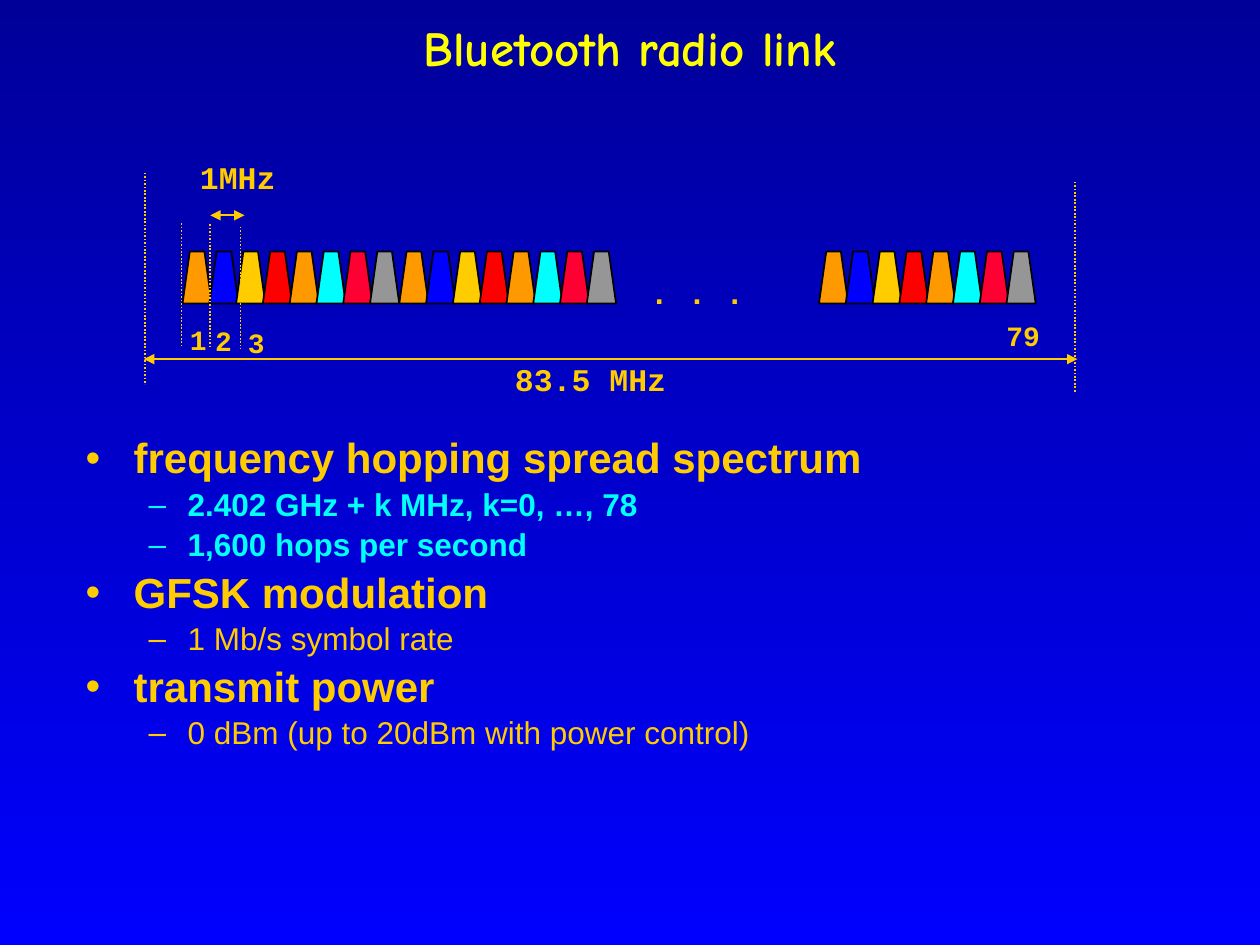
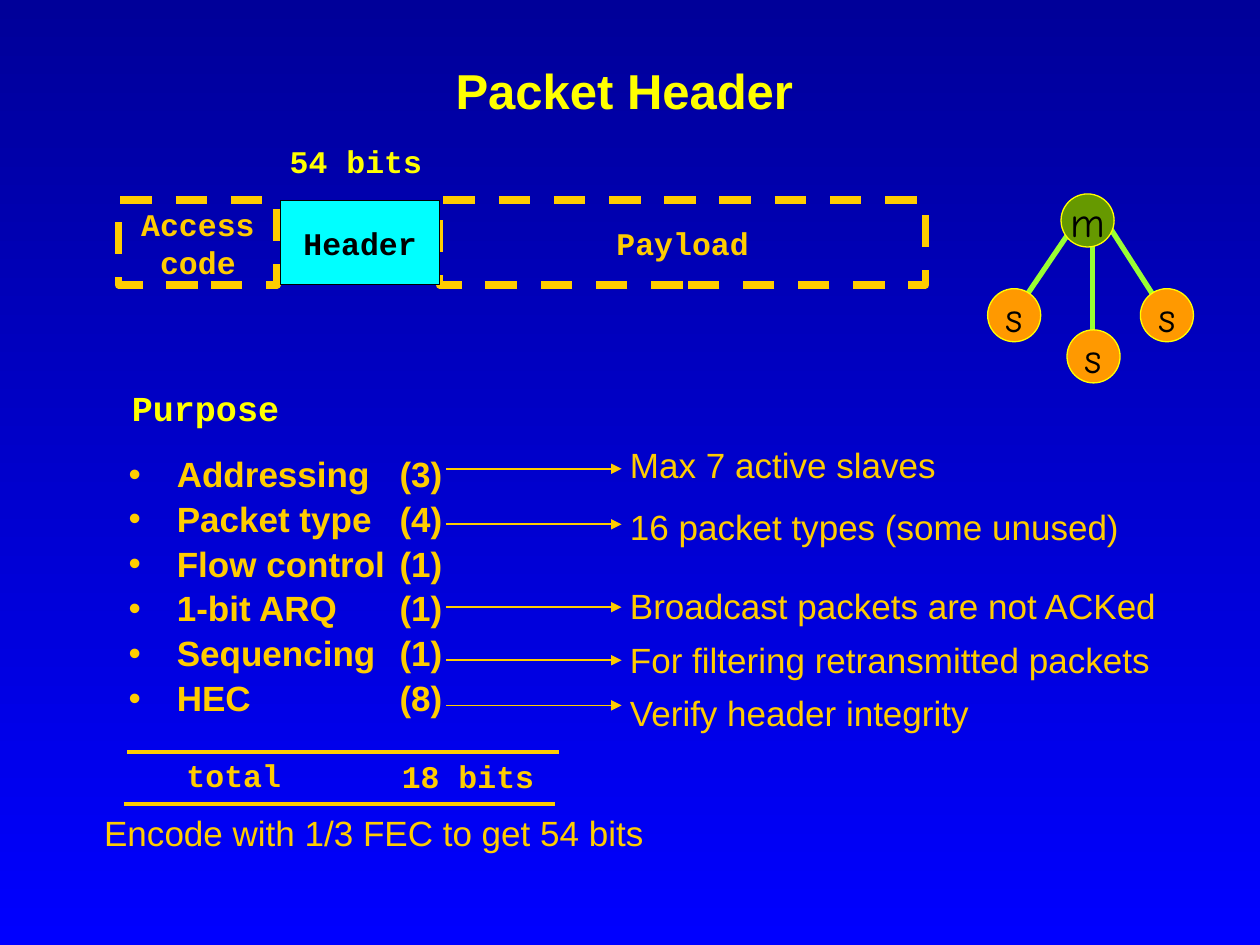
"""Build two slides on a short-range radio link: its spectrum and its packet header."""
from dataclasses import dataclass

from lxml import etree
from pptx import Presentation
from pptx import util as u
from pptx.dml.color import RGBColor
from pptx.enum import dml, shapes, text
from pptx.oxml.ns import qn

GOLD, YELLOW, CYAN, BLACK = "FFCC00", "FFFF00", "00FFFF", "000000"
ORANGE, LIME, GREEN = "FF9900", "99FF33", "669900"
BANDS = [ORANGE, "0000FF", GOLD, "FF0000", ORANGE, CYAN, "FF0033", "969696"]
DOT, DASH = dml.MSO_LINE.ROUND_DOT, dml.MSO_LINE.DASH
SHAPE = shapes.MSO_SHAPE
SANS, MONO, COMIC = "Arial", "Courier New", "Comic Neue"


@dataclass
class Font:
    size: float
    name: str = SANS
    color: str = GOLD
    bold: bool = False


@dataclass
class Box:
    left: float
    top: float
    width: float
    height: float


@dataclass
class Label:
    words: str
    box: Box
    font: Font
    wrap: bool = False


@dataclass
class Line:
    x1: float
    y1: float
    x2: float
    y2: float
    width: float = 1
    color: str = GOLD
    dash: object = None
    ends: tuple = ()


@dataclass
class Block:
    kind: object
    box: Box
    fill: str | None
    line: str
    width: float
    words: str = ""
    font: Font | None = None
    dash: object = None


@dataclass
class Item:
    words: str
    font: Font
    level: int = 0


CODE = Font(18, MONO, bold=True)
SMALL = Font(16, MONO, bold=True)
NOTE = Font(20)
HEAD = Font(24, bold=True)
INDENTS = [(0.97, 0.97), (2.06, 0.79)]


def paint(color, code: str) -> None:
    color.rgb = RGBColor.from_string(code)


def style(para, font: Font) -> None:
    for run in para.runs:
        run.font.name, run.font.size = font.name, u.Pt(font.size)
        run.font.bold = font.bold
        paint(run.font.color, font.color)


def place(shape, box: Box) -> None:
    shape.left, shape.top = u.Cm(box.left), u.Cm(box.top)
    shape.width, shape.height = u.Cm(box.width), u.Cm(box.height)


def clear(frame) -> None:
    frame.margin_left = frame.margin_right = 0
    frame.margin_top = frame.margin_bottom = 0


def add_title(slide, words: str, box: Box, font: Font) -> None:
    title = slide.shapes.title
    place(title, box)
    frame = title.text_frame
    frame.text = words
    frame.auto_size = text.MSO_AUTO_SIZE.NONE
    frame.vertical_anchor = text.MSO_ANCHOR.MIDDLE
    clear(frame)
    style(frame.paragraphs[0], font)


def add_list(slide, items: list[Item], box: Box, tab: float = 0) -> None:
    body = slide.placeholders[1]
    place(body, box)
    frame = body.text_frame
    frame.text = "\n".join(item.words for item in items)
    frame.auto_size = text.MSO_AUTO_SIZE.NONE
    for i, (para, item) in enumerate(zip(frame.paragraphs, items)):
        para.level = item.level
        para.line_spacing = 0.9
        para.space_before = u.Pt(item.font.size * 0.2 if i else 0)
        props = para._p.get_or_add_pPr()
        margin, hang = INDENTS[item.level]
        props.set("marL", str(u.Cm(margin)))
        props.set("indent", str(-u.Cm(hang)))
        if tab:
            stops = etree.SubElement(props, qn("a:tabLst"))
            etree.SubElement(stops, qn("a:tab"), pos=str(u.Cm(tab)), algn="l")
        style(para, item.font)


def add_label(slide, label: Label) -> None:
    shape = slide.shapes.add_textbox(0, 0, 0, 0)
    place(shape, label.box)
    frame = shape.text_frame
    frame.text = label.words
    frame.word_wrap = label.wrap
    if label.wrap:
        frame.paragraphs[0].line_spacing = 0.9
    else:
        frame.auto_size = text.MSO_AUTO_SIZE.SHAPE_TO_FIT_TEXT
    style(frame.paragraphs[0], label.font)


def add_line(slide, line: Line) -> None:
    points = [u.Cm(n) for n in (line.x1, line.y1, line.x2, line.y2)]
    shape = slide.shapes.add_connector(shapes.MSO_CONNECTOR.STRAIGHT, *points)
    shape.line.width = u.Pt(line.width)
    paint(shape.line.color, line.color)
    if line.dash:
        shape.line.dash_style = line.dash
    for end in line.ends:
        etree.SubElement(shape.line._get_or_add_ln(), qn(f"a:{end}"), type="triangle")
    etree.SubElement(shape._element.spPr, qn("a:effectLst"))


def add_block(slide, block: Block) -> None:
    shape = slide.shapes.add_shape(block.kind, 0, 0, 0, 0)
    place(shape, block.box)
    shape.shadow.inherit = False
    if block.fill:
        shape.fill.solid()
        paint(shape.fill.fore_color, block.fill)
    else:
        shape.fill.background()
    shape.line.width = u.Pt(block.width)
    paint(shape.line.color, block.line)
    if block.dash:
        shape.line.dash_style = block.dash
    if block.font:
        frame = shape.text_frame
        frame.text = block.words
        frame.word_wrap = False
        frame.vertical_anchor = text.MSO_ANCHOR.MIDDLE
        clear(frame)
        for para in frame.paragraphs:
            para.alignment = text.PP_ALIGN.CENTER
            style(para, block.font)


def set_back(master) -> None:
    fill = master.background.fill
    fill.gradient()
    fill.gradient_angle = 270
    for stop, code in zip(fill.gradient_stops, ("000099", "0000FF")):
        paint(stop.color, code)
    fill.gradient_stops[0].position, fill.gradient_stops[1].position = 0, 1


def draw_link(slide) -> None:
    add_title(slide, "Bluetooth radio link", Box(1.9, 0, 21.59, 1.9),
              Font(28, COMIC, YELLOW, True))
    bright = Font(18, color=CYAN, bold=True)
    plain = Font(18)
    add_list(slide, [
        Item("frequency hopping spread spectrum", HEAD),
        Item("2.402 GHz + k MHz, k=0, …, 78", bright, 1),
        Item("1,600 hops per second", bright, 1),
        Item("GFSK modulation", HEAD),
        Item("1 Mb/s symbol rate", plain, 1),
        Item("transmit power", HEAD),
        Item("0 dBm (up to 20dBm with power control)", plain, 1),
    ], Box(1.47, 8.69, 22.56, 9.98))
    for start in (3.68, 8.05, 16.51):
        for i, color in enumerate(BANDS):
            box = Box(start + i * 0.54, 5.07, 0.59, 1.05)
            add_block(slide, Block(SHAPE.TRAPEZOID, box, color, BLACK, 1))
    for x, top, base in ((3.66, 4.5, 6.96), (4.24, 4.52, 7.01), (4.85, 4.57, 7.04),
                         (2.92, 3.48, 7.75), (21.67, 3.66, 7.92)):
        add_line(slide, Line(x, top, x, base, dash=DOT))
    both = ("headEnd", "tailEnd")
    add_line(slide, Line(4.24, 4.34, 4.93, 4.34, ends=both))
    add_line(slide, Line(2.9, 7.24, 21.72, 7.24, 1.5, ends=both))
    for label in (
        Label(". . .", Box(12.85, 5.38, 2.79, 1.02), CODE),
        Label("1MHz", Box(3.78, 3.07, 2.03, 1.02), CODE),
        Label("83.5 MHz", Box(10.13, 7.14, 3.56, 1.02), CODE),
        Label("1", Box(3.58, 6.38, 0.86, 0.94), SMALL),
        Label("2", Box(4.09, 6.4, 0.86, 0.94), SMALL),
        Label("3", Box(4.75, 6.43, 0.86, 0.94), SMALL),
        Label("79", Box(20.04, 6.3, 1.19, 0.94), SMALL),
    ):
        add_label(slide, label)


def draw_packet(slide) -> None:
    add_title(slide, "Packet Header", Box(2.74, 1.07, 19.69, 1.47),
              Font(28, color=YELLOW, bold=True))
    fields = [("Addressing", 3), ("Packet type", 4), ("Flow control", 1),
              ("1-bit ARQ", 1), ("Sequencing", 1), ("HEC", 8)]
    strong = Font(20, bold=True)
    add_list(slide, [Item(f"{name}\t({bits})", strong) for name, bits in fields],
             Box(2.34, 9.09, 9.8, 5.87), tab=5.46)
    for words, left, width in (("Access\ncode", 2.39, 3.2), ("Payload", 8.86, 9.8)):
        add_block(slide, Block(SHAPE.RECTANGLE, Box(left, 4.04, width, 1.7), None,
                               GOLD, 4.5, words, CODE, DASH))
    add_block(slide, Block(SHAPE.RECTANGLE, Box(5.66, 4.04, 3.2, 1.7), CYAN, BLACK, 0.5,
                           "Header", Font(18, MONO, BLACK, True)))
    for label in (
        Label("54 bits", Box(5.59, 2.74, 3.18, 1.02), Font(18, MONO, YELLOW, True)),
        Label("Purpose", Box(2.41, 7.67, 3.48, 1.09), Font(20, MONO, YELLOW, True)),
        Label("total", Box(3.51, 15.11, 2.41, 1.02), CODE),
        Label("18 bits", Box(7.85, 15.14, 3.18, 1.02), CODE),
        Label("Encode with 1/3 FEC to get 54 bits", Box(1.85, 16.33, 15.95, 1.37), NOTE, True),
    ):
        add_label(slide, label)
    for words, top, y in (
        ("Max 7 active slaves", 8.92, 9.45),
        ("16 packet types (some unused)", 10.16, 10.57),
        ("Broadcast packets are not ACKed", 11.76, 12.24),
        ("For filtering retransmitted packets", 12.85, 13.31),
        ("Verify header integrity", 13.92, 14.22),
    ):
        add_label(slide, Label(words, Box(12.45, top, 11.38, 0.97), NOTE, True))
        add_line(slide, Line(9, y, 12.53, y, ends=("tailEnd",)))
    for left, y in ((2.57, 15.16), (2.49, 16.21)):
        add_line(slide, Line(left, y, left + 8.69, y, 2.25))
    for ends in ((21.51, 4.75, 20.65, 6.02), (22.35, 4.55, 23.42, 6.22),
                 (22.02, 4.95, 22.02, 6.65)):
        add_line(slide, Line(*ends, 3, LIME))
    for name, left, top, fill in (("m", 21.39, 3.91, GREEN), ("s", 19.91, 5.82, ORANGE),
                                  ("s", 21.51, 6.65, ORANGE), ("s", 22.99, 5.82, ORANGE)):
        add_block(slide, Block(SHAPE.OVAL, Box(left, top, 1.07, 1.07), fill, YELLOW, 0.75,
                               name, Font(24, COMIC, BLACK)))


def main() -> None:
    deck = Presentation()
    deck.slide_width, deck.slide_height = u.Cm(25.4), u.Cm(19.05)
    set_back(deck.slide_master)
    for draw in (draw_link, draw_packet):
        draw(deck.slides.add_slide(deck.slide_layouts[1]))
    deck.save("out.pptx")


if __name__ == "__main__":
    main()
